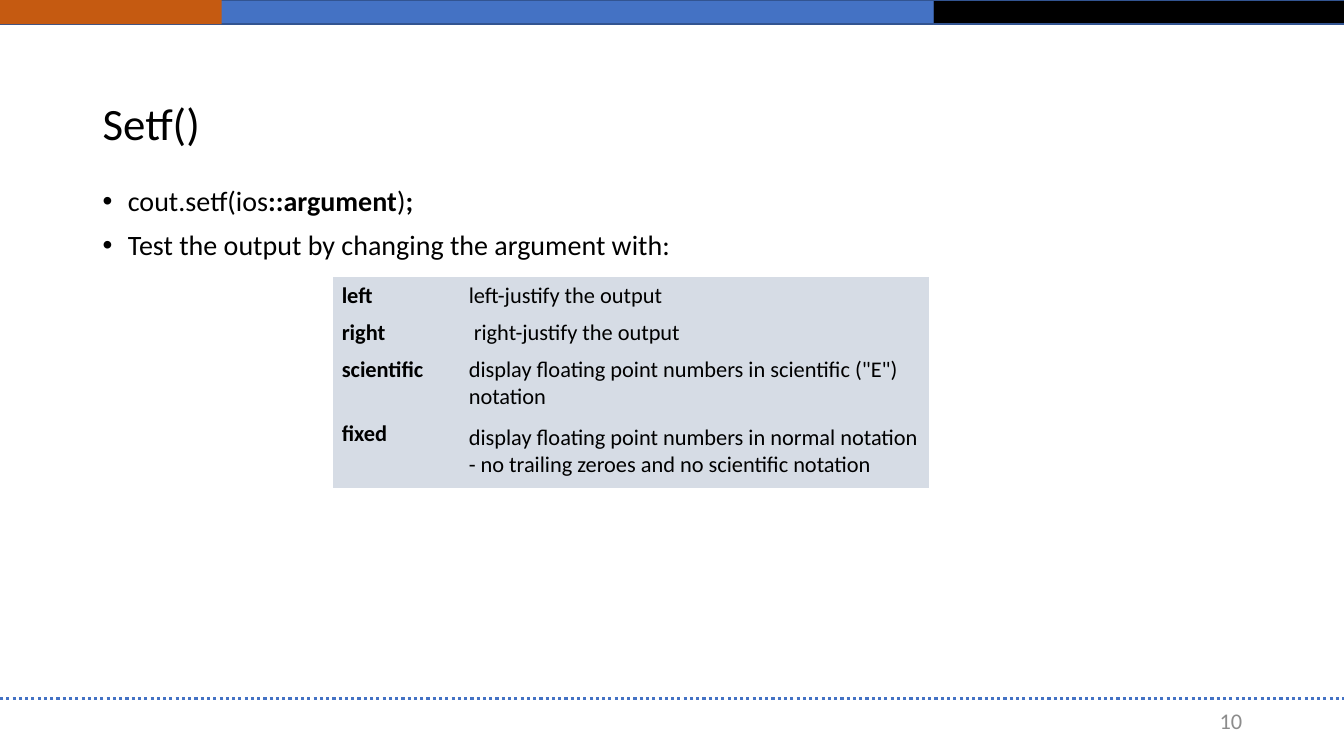
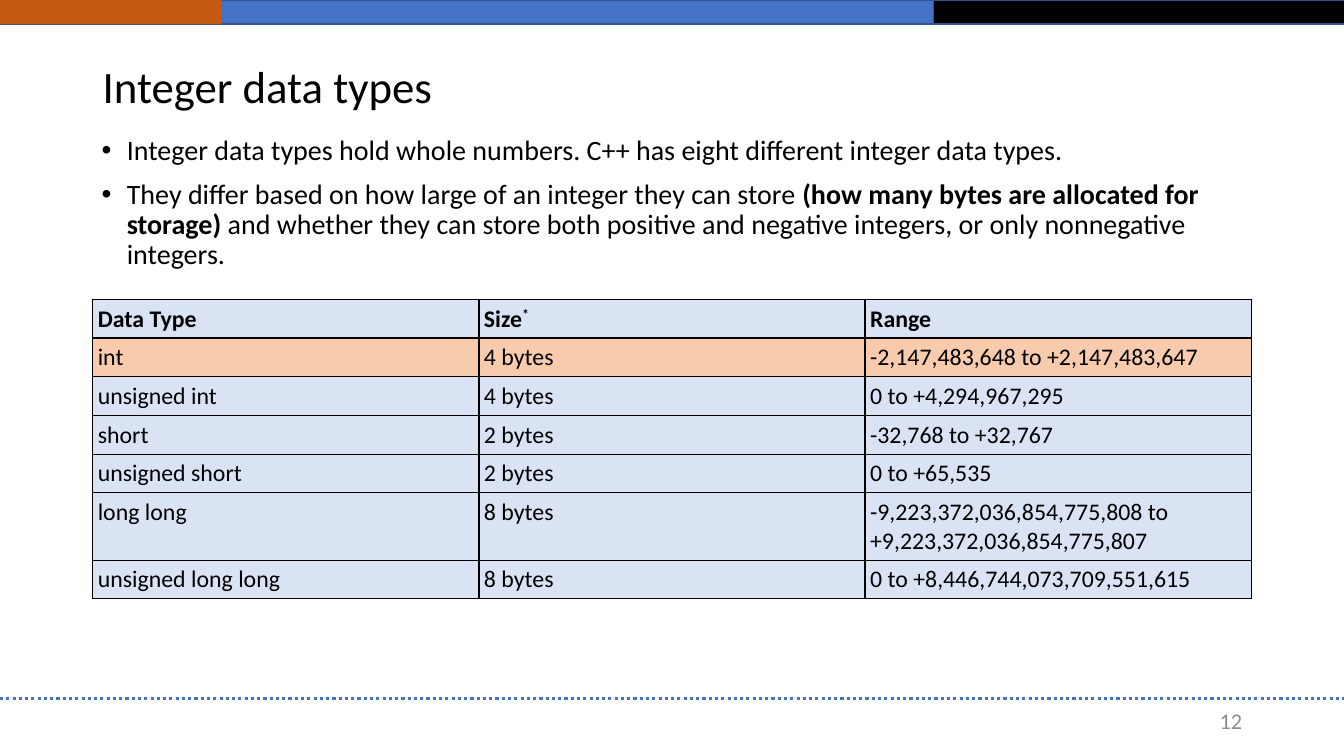
from pptx import Presentation
from pptx.util import Inches, Pt
from pptx.dml.color import RGBColor
from pptx.enum.dml import MSO_LINE as Dash
from pptx.enum.shapes import MSO_SHAPE as Kind, MSO_CONNECTOR as Link
from pptx.enum.text import PP_ALIGN as Align, MSO_ANCHOR as Anchor
from pptx.oxml import parse_xml
from pptx.oxml.ns import nsdecls, qn
from lxml.etree import SubElement

FONT = "Calibri"
HEX = {"blue": "4472C4", "edge": "325491", "black": "000000", "orange": "C55A11",
       "grey": "8C8C8C", "slate": "D6DCE5", "pale": "DAE3F3", "peach": "F8CBAD"}
BANDS = [(0, 9.26, "blue", "edge"), (9.26, 4.08, "black", "edge"), (0, 2.2, "orange", None)]
PLAIN = "{2D5ABB26-0587-4C30-8999-92F81FD0307C}"

# "|" switches bold on and off, "^" starts a superscript
FLAGS = [
    ("left\u00a0", "left-justify the output"),
    ("right", "\u00a0right-justify the output"),
    ("scientific", 'display floating point numbers in scientific ("E") notation'),
    ("fixed", "display floating point numbers in normal notation - no trailing zeroes "
              "and no scientific notation"),
]
TYPES = [
    ("Data Type", "Size^*", "Range"),
    ("int", "4 bytes", "-2,147,483,648 to +2,147,483,647"),
    ("unsigned int", "4 bytes", "0 to +4,294,967,295"),
    ("short", "2 bytes", "-32,768 to +32,767"),
    ("unsigned short", "2 bytes", "0 to +65,535"),
    ("long long", "8 bytes", "-9,223,372,036,854,775,808 to +9,223,372,036,854,775,807"),
    ("unsigned long long", "8 bytes", "0 to +8,446,744,073,709,551,615"),
]
SLIDES = [
    {"no": "10", "title": "Setf()", "top": 0.83, "body": (0.92, 1.81),
     "points": ["cout.setf(ios|::argument|)|;", "Test the output by changing the argument with:"],
     "table": {"rows": FLAGS, "at": (3.3, 2.75), "cols": [1.26, 4.65],
               "tall": [0.29, 0.29, 0.51, 0.72], "size": 16, "pad": 0.09,
               "fill": lambda r: "slate", "bold": lambda r, c: c == 0,
               "anchor": lambda c: Anchor.MIDDLE if c else Anchor.TOP, "grid": False}},
    {"no": "12", "title": "Integer data types", "top": 0.46, "body": (0.91, 1.3),
     "points": ["Integer data types hold whole numbers. C++ has eight different integer data types. ",
                "They differ based on how large of an integer they can store |(how many bytes are "
                "allocated for storage)| and whether they can store both positive and negative "
                "integers, or only nonnegative integers."],
     "table": {"rows": TYPES, "at": (0.92, 2.97), "cols": [3.83] * 3,
               "tall": [0.38] * 5 + [0.66, 0.38], "size": 17, "pad": 0.05,
               "fill": lambda r: "peach" if r == 1 else "pale", "bold": lambda r, c: r == 0,
               "anchor": lambda c: Anchor.TOP, "grid": True}},
]


def paint(fill, name):
    fill.solid()
    fill.fore_color.rgb = RGBColor.from_string(HEX[name])


def write(frame, lines, size=20, color="black", bold=False, align=Align.LEFT,
          space=None, before=0, bullet=False):
    frame.word_wrap = True
    for i, line in enumerate(lines):
        para = frame.paragraphs[0] if i == 0 else frame.add_paragraph()
        para.alignment = align
        para.space_before = Pt(before)
        if space:
            para.line_spacing = space
        if bullet:
            props = para._p.get_or_add_pPr()
            props.set("marL", str(Inches(0.25)))
            props.set("indent", str(-Inches(0.25)))
            SubElement(props, qn("a:buFont"), typeface="Arial")
            SubElement(props, qn("a:buChar"), char="•")
        for j, part in enumerate(line.split("|")):
            for k, text in enumerate(part.split("^")):
                run = para.add_run()
                run.text = text
                run.font.name, run.font.size = FONT, Pt(size)
                run.font.bold = bold or j % 2 == 1
                run.font.color.rgb = RGBColor.from_string(HEX[color])
                if k:
                    run.font._element.set("baseline", "30000")


def label(slide, lines, box, anchor=Anchor.TOP, **style):
    frame = slide.shapes.add_textbox(*map(Inches, box)).text_frame
    frame.vertical_anchor = anchor
    write(frame, lines, **style)


def dress(slide, number):
    for left, wide, color, edge in BANDS:
        band = slide.shapes.add_shape(Kind.RECTANGLE, *map(Inches, (left, 0, wide, 0.24)))
        band.shadow.inherit = False
        paint(band.fill, color)
        if edge:
            paint(band.line.fill, edge)
            band.line.width = Pt(1)
        else:
            band.line.fill.background()
    rule = slide.shapes.add_connector(Link.STRAIGHT, *map(Inches, (0, 6.93, 13.33, 6.93)))
    paint(rule.line.fill, "blue")
    rule.line.width, rule.line.dash_style = Pt(2.25), Dash.ROUND_DOT
    SubElement(rule.element.spPr, qn("a:effectLst"))
    label(slide, [number], (9.42, 6.95, 3, 0.4), Anchor.MIDDLE,
          size=16, color="grey", align=Align.RIGHT)


def frame_cell(cell):
    props = cell._tc.get_or_add_tcPr()
    for i, side in enumerate("LRTB"):
        props.insert(i, parse_xml(
            f'<a:ln{side} {nsdecls("a")} w="{Pt(1)}"><a:solidFill>'
            f'<a:srgbClr val="{HEX["black"]}"/></a:solidFill></a:ln{side}>'))


def tabulate(slide, data):
    rows, cols, tall = data["rows"], data["cols"], data["tall"]
    box = (*data["at"], sum(cols), sum(tall))
    shape = slide.shapes.add_table(len(rows), len(cols), *map(Inches, box))
    table = shape.table
    table.first_row = table.horz_banding = False
    next(shape.element.iter(qn("a:tableStyleId"))).text = PLAIN
    for col, wide in zip(table.columns, cols):
        col.width = Inches(wide)
    for r, row in enumerate(rows):
        table.rows[r].height = Inches(tall[r])
        for c, text in enumerate(row):
            cell = table.cell(r, c)
            cell.margin_left = cell.margin_right = Inches(data["pad"])
            cell.margin_top = cell.margin_bottom = Inches(0.05)
            cell.vertical_anchor = data["anchor"](c)
            paint(cell.fill, data["fill"](r))
            write(cell.text_frame, [text], size=data["size"], bold=data["bold"](r, c))
            if data["grid"]:
                frame_cell(cell)


deck = Presentation()
deck.slide_width, deck.slide_height = Inches(13.33), Inches(7.5)
for page in SLIDES:
    slide = deck.slides.add_slide(deck.slide_layouts[6])
    dress(slide, page["no"])
    label(slide, [page["title"]], (0.92, page["top"], 11.5, 0.84), Anchor.MIDDLE,
          size=32, space=0.9)
    label(slide, page["points"], (*page["body"], 11.5, 5), space=0.9, before=10, bullet=True)
    tabulate(slide, page["table"])
deck.save("out.pptx")
